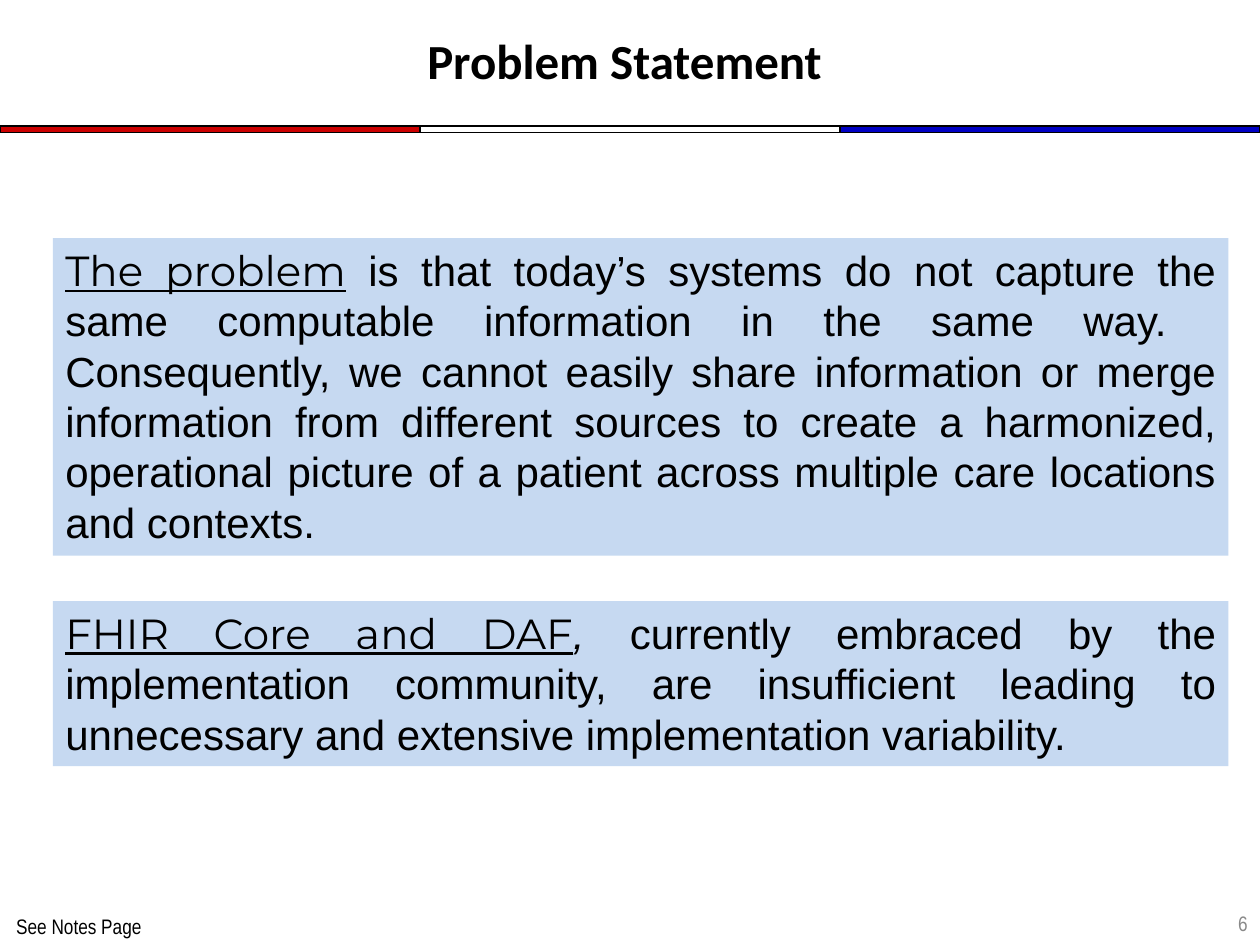
import pptx
import pptx.util
import pptx.dml.color
import pptx.enum.shapes
import pptx.enum.text
from pptx.util import Inches

ALIGN = pptx.enum.text.PP_ALIGN
ANCHOR = pptx.enum.text.MSO_ANCHOR


def color(code):
    return pptx.dml.color.RGBColor.from_string(code)


def place(shape, left, top, width, height):
    shape.left, shape.top = Inches(left), Inches(top)
    shape.width, shape.height = Inches(width), Inches(height)


def add_run(para, text, size, font, code="000000", bold=False, under=False, slant=False):
    run = para.add_run()
    run.text = text
    run.font.size = pptx.util.Pt(size)
    run.font.name = font
    run.font.color.rgb = color(code)
    run.font.bold = bold
    run.font.underline = under
    run.font.italic = slant


def add_rect(slide, box, fill, line=None):
    shape = slide.shapes.add_shape(
        pptx.enum.shapes.MSO_SHAPE.RECTANGLE, *map(Inches, box))
    shape.shadow.inherit = False
    shape.fill.solid()
    shape.fill.fore_color.rgb = color(fill)
    if line:
        shape.line.color.rgb = color(line)
        shape.line.width = pptx.util.Pt(0.75)
    else:
        shape.line.fill.background()
    return shape


def add_stripes(slide, codes):
    width = 10 / len(codes)
    for i, code in enumerate(codes):
        add_rect(slide, (i * width, 1, width, 0.05), code, "000000")


def set_title(slide, text):
    title = slide.shapes.title
    place(title, 0.5, 0, 9, 0.95)
    frame = title.text_frame
    frame.vertical_anchor = ANCHOR.MIDDLE
    para = frame.paragraphs[0]
    para.alignment = ALIGN.CENTER
    add_run(para, text, 28, "Calibri", bold=True)


def add_panel(slide, top, height, lead, parts):
    frame = add_rect(slide, (0.42, top, 9.33, height), "C6D9F1").text_frame
    frame.word_wrap = True
    frame.vertical_anchor = ANCHOR.TOP
    para = frame.paragraphs[0]
    para.alignment = ALIGN.JUSTIFY
    add_run(para, lead, 24, "Montserrat", under=True)
    for text, slant in parts:
        add_run(para, text, 24, "Arial", slant=slant)


def add_label(slide, box, text, code, align, anchor):
    frame = slide.shapes.add_textbox(*map(Inches, box)).text_frame
    frame.word_wrap = True
    frame.vertical_anchor = anchor
    para = frame.paragraphs[0]
    para.alignment = align
    add_run(para, text, 12, "Arial Narrow", code)


def main():
    deck = pptx.Presentation()
    deck.slide_width, deck.slide_height = Inches(10), Inches(7.5)
    slide = deck.slides.add_slide(deck.slide_layouts[5])
    add_stripes(slide, ["CC0000", "FFFFFF", "0000C4"])
    set_title(slide, "Problem Statement ")
    add_panel(slide, 1.89, 2.52, "The problem", [
        (" is that today’s systems do not capture the same computable "
         "information in the same way.  Consequently, we cannot easily share "
         "information or merge information from different sources to create "
         "a harmonized, operational picture of a patient across multiple "
         "care locations and contexts.", False)])
    add_panel(slide, 4.77, 1.31, "FHIR Core and DAF", [
        (", ", True),
        ("currently embraced by the implementation community, are "
         "insufficient leading to unnecessary and extensive implementation "
         "variability. ", False)])
    add_label(slide, (0.03, 7.2, 1.39, 0.3), "See Notes Page", "000000",
              ALIGN.LEFT, ANCHOR.TOP)
    add_label(slide, (7.67, 7.15, 2.33, 0.35), "6", "898989",
              ALIGN.RIGHT, ANCHOR.MIDDLE)
    deck.save("out.pptx")


if __name__ == "__main__":
    main()
